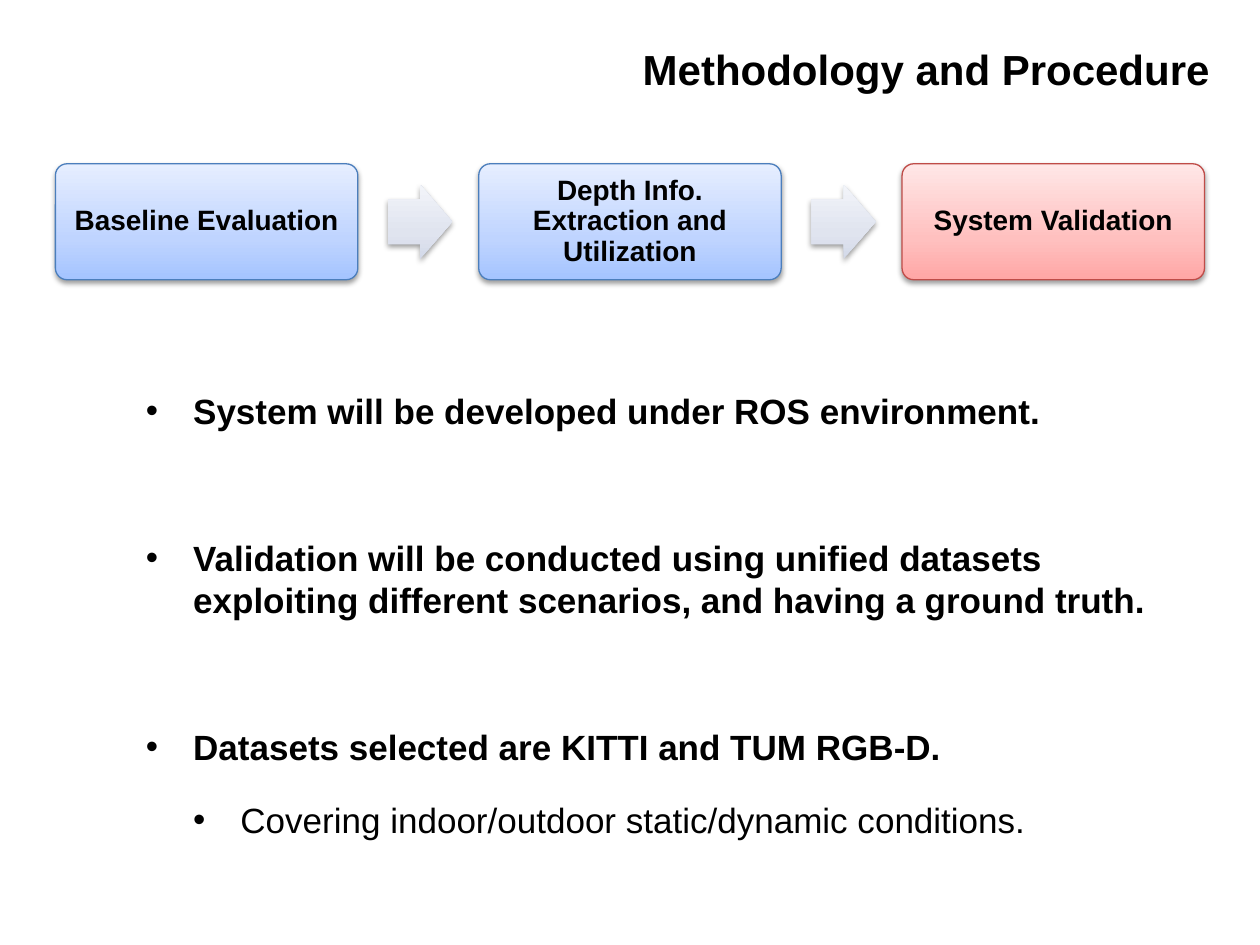
from copy import deepcopy

from lxml import etree
from pptx import Presentation
from pptx import util as u
from pptx.dml.color import RGBColor
from pptx.enum import shapes, text
from pptx.oxml.ns import qn

W, H = 10, 7.5
FONT = "Arial"
BLUE = ("A4C4FF", "BFD4FF", "E6EEFF")
RED = ("FFA6A5", "FFC0BF", "FFE7E7")
GREY = ("D3D9E9", "E0E4EF", "F2F4F9")
STEPS = [
    ("Baseline Evaluation", BLUE, "4B7EBC"),
    ("Depth Info. Extraction and Utilization", BLUE, "4B7EBC"),
    ("System Validation", RED, "BF4C48"),
]
# Text, level, space before
POINTS = [
    ("System will be developed under ROS environment.", 0, 12),
    ("Validation will be conducted using unified datasets exploiting "
     "different scenarios, and having a ground truth.", 0, 54),
    ("Datasets selected are KITTI and TUM RGB-D.", 0, 54),
    ("Covering indoor/outdoor static/dynamic conditions.", 1, 12),
]


def color(value):
    return RGBColor.from_string(value)


def inches(*box):
    return [u.Inches(v) for v in box]


def add_run(p, words, size, bold=True):
    r = p.add_run()
    r.text = words
    r.font.name, r.font.size, r.font.bold = FONT, u.Pt(size), bold
    r.font.color.rgb = color("000000")


def add_text_box(s, box):
    tf = s.shapes.add_textbox(*inches(*box)).text_frame
    tf.word_wrap = True
    return tf


def add_raised_shape(s, kind, box, adjustments, gradient):
    """Preset shape with a three-stop upward gradient and a soft shadow."""
    sp = s.shapes.add_shape(kind, *inches(*box))
    for i, value in enumerate(adjustments):
        sp.adjustments[i] = value
    sp.fill.gradient()
    sp.fill.gradient_angle = 90
    stops = sp._element.spPr.find(".//" + qn("a:gsLst"))
    stops.insert(1, deepcopy(stops[0]))
    for stop, place, value in zip(sp.fill.gradient_stops, (0, 0.35, 1), gradient):
        stop.position = place
        stop.color.rgb = color(value)
    sp.line.fill.background()
    sp.shadow.inherit = False
    effects = sp._element.spPr.find(qn("a:effectLst"))
    shadow = etree.SubElement(effects, qn("a:outerShdw"), blurRad="40000",
                              dist="20000", dir="5400000", rotWithShape="0")
    black = etree.SubElement(shadow, qn("a:srgbClr"), val="000000")
    etree.SubElement(black, qn("a:alpha"), val="38000")
    return sp


def add_title(s, box):
    p = add_text_box(s, box).paragraphs[0]
    p.alignment = text.PP_ALIGN.RIGHT
    add_run(p, "Methodology and Procedure", 24)


def add_process(s, box):
    left, top, width, height = box
    # A gap is 0.4 of a step's width
    step_w = width / (len(STEPS) + 0.4 * (len(STEPS) - 1))
    arrow_w, arrow_h = 0.51, 0.59
    for i, (words, gradient, outline) in enumerate(STEPS):
        x = left + i * 1.4 * step_w
        # Arrow from the previous step
        if i:
            add_raised_shape(
                s, shapes.MSO_SHAPE.RIGHT_ARROW,
                (x - 0.3 * step_w, top + (height - arrow_h) / 2, arrow_w, arrow_h),
                (0.6, 0.5), GREY)
        # Step
        sp = add_raised_shape(s, shapes.MSO_SHAPE.ROUNDED_RECTANGLE,
                              (x, top, step_w, height), (0.1,), gradient)
        sp.line.color.rgb = color(outline)
        sp.line.width = u.Pt(0.75)
        tf = sp.text_frame
        tf.word_wrap = True
        tf.vertical_anchor = text.MSO_ANCHOR.MIDDLE
        tf.margin_left = tf.margin_right = u.Inches(0.07)
        tf.margin_top = tf.margin_bottom = u.Inches(0.07)
        p = tf.paragraphs[0]
        p.alignment = text.PP_ALIGN.CENTER
        p.line_spacing = 0.9
        add_run(p, words, 16)


def add_points(s, box):
    tf = add_text_box(s, box)
    tf.margin_top = u.Inches(0.63)
    indent = u.Inches(0.375)
    for i, (words, level, before) in enumerate(POINTS):
        p = tf.add_paragraph() if i else tf.paragraphs[0]
        p.level = level
        p.space_before, p.space_after = u.Pt(before), u.Pt(6)
        pPr = p._p.get_or_add_pPr()
        pPr.set("marL", str(indent * (level + 1)))
        pPr.set("indent", str(-indent))
        etree.SubElement(pPr, qn("a:buFont"), typeface=FONT)
        etree.SubElement(pPr, qn("a:buChar"), char="•")
        add_run(p, words, 20, bold=level == 0)


def main():
    prs = Presentation()
    prs.slide_width, prs.slide_height = inches(W, H)
    s = prs.slides.add_slide(prs.slide_layouts[6])
    add_title(s, (0.27 * W, 0.04 * H, 0.7 * W, 0.4))
    add_process(s, (0.44, 1.3, 9.12, 0.92))
    add_points(s, (1.06, 2.46, 8.27, 4.56))
    prs.save("out.pptx")


if __name__ == "__main__":
    main()
